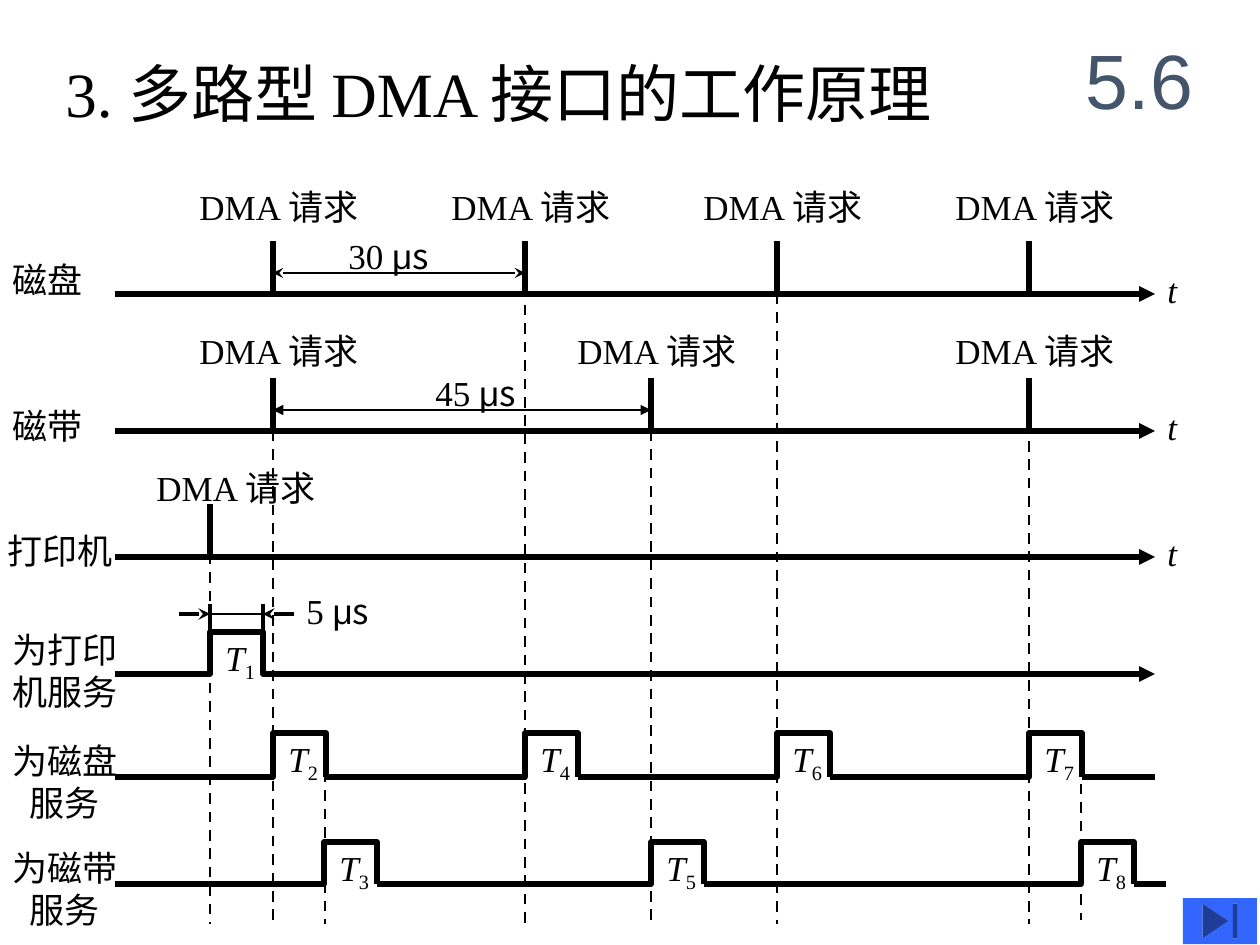
"""Build the timing diagram slide for a multiplexed DMA interface."""
import pptx
import pptx.dml.color
import pptx.enum.dml
import pptx.enum.shapes
import pptx.enum.text
import pptx.oxml.ns
import pptx.util
from lxml import etree

SCALE = 914400 / 126
THEME = {
    "ink": "000000", "accent": "44546A", "button": "3366FF",
    "latin": "Times New Roman", "sans": "Arial", "cjk": "Noto Sans CJK SC",
    "title": 36, "number": 44, "body": 20,
    "heavy": 3, "medium": 2.25, "dash": 1.5, "thin": 1, "hair": 0.75,
}
AXIS_LEFT, AXIS_RIGHT = 115, 1155
TICK_HEIGHT, PULSE_WIDTH = 53, 53
REQUEST = "DMA 请求"

DEVICES = [
    {"name": "打印机", "name_box": (-5, 523, 130, 55), "axis": 557,
     "requests": [210], "label_top": 460, "label_shift": -66},
    {"name": "磁带", "name_box": (0, 398, 95, 55), "axis": 431,
     "requests": [273, 651, 1029], "label_top": 323, "label_shift": -86,
     "period": ("45 ", 423, "triangle")},
    {"name": "磁盘", "name_box": (0, 252, 95, 55), "axis": 294,
     "requests": [273, 525, 777, 1029], "label_top": 179, "label_shift": -86,
     "period": ("30 ", 336, "stealth")},
]
SERVICES = [
    {"name": "为磁盘\n服务", "name_top": 733, "base": 777, "top": 733, "end": 1155,
     "pulses": [(273, "2"), (525, "4"), (777, "6"), (1029, "7")]},
    {"name": "为磁带\n服务", "name_top": 840, "base": 884, "top": 842, "end": 1166,
     "pulses": [(324, "3"), (651, "5"), (1081, "8")]},
]
PRINTER_SERVICE = {"name": "为打印\n机服务", "name_top": 622, "base": 674, "top": 632, "rise": 210}
GUIDES = [(273, 431, 924), (525, 305, 924), (777, 294, 924), (1029, 441, 924),
          (651, 431, 924), (210, 554, 924), (325, 735, 924), (1081, 747, 920)]


def px(value):
    return round(value * SCALE)


def color(name):
    return pptx.dml.color.RGBColor.from_string(THEME[name])


def write(slide, text, box, size="body", ink="ink", font="latin", align="LEFT",
          anchor="TOP", wrap=False):
    """Write a string, or a list of (text, format) runs, in a box."""
    frame = slide.shapes.add_textbox(*map(px, box)).text_frame
    frame.word_wrap = wrap
    frame.vertical_anchor = pptx.enum.text.MSO_ANCHOR[anchor]
    lines = [[(line, {})] for line in text.split("\n")] if isinstance(text, str) else [text]
    for index, line in enumerate(lines):
        paragraph = frame.add_paragraph() if index else frame.paragraphs[0]
        paragraph.alignment = pptx.enum.text.PP_ALIGN[align]
        for content, style in line:
            run = paragraph.add_run()
            run.text = content
            run.font.size = pptx.util.Pt(THEME[size])
            run.font.color.rgb = color(ink)
            run.font.name = THEME[style.get("font", font)]
            run.font.italic = style.get("italic", False)
            properties = run._r.get_or_add_rPr()
            etree.SubElement(properties, pptx.oxml.ns.qn("a:ea"), typeface=THEME["cjk"])
            if style.get("subscript"):
                properties.set("baseline", "-25000")


def style_line(shape, width, head=None, tail=None):
    shape.line.color.rgb = color("ink")
    shape.line.width = pptx.util.Pt(THEME[width])
    for tag, kind in (("a:headEnd", head), ("a:tailEnd", tail)):
        if kind:
            etree.SubElement(shape.line._get_or_add_ln(), pptx.oxml.ns.qn(tag), type=kind)


def draw_line(slide, start, end, width="heavy", dashed=False, head=None, tail=None):
    connector = slide.shapes.add_connector(
        pptx.enum.shapes.MSO_CONNECTOR.STRAIGHT, *map(px, start + end))
    if dashed:
        connector.line.dash_style = pptx.enum.dml.MSO_LINE.DASH
    style_line(connector, width, head, tail)
    etree.SubElement(connector._element.spPr, pptx.oxml.ns.qn("a:effectLst"))


def draw_wave(slide, points, tail=None):
    builder = slide.shapes.build_freeform(*points[0], scale=SCALE)
    builder.add_line_segments(points[1:], close=False)
    wave = builder.convert_to_shape()
    wave.shadow.inherit = False
    wave.fill.background()
    style_line(wave, "heavy", tail=tail)


def pulse_points(left, rise, base, top):
    fall = rise + PULSE_WIDTH
    return [(left, base), (rise, base), (rise, top), (fall, top), (fall, base)]


def write_pulse(slide, number, rise, top):
    write(slide, [("T", {"italic": True}), (number, {"subscript": True})],
          (rise + 3, top - 2, 66, 60))


def write_duration(slide, amount, box):
    write(slide, [(amount, {}), ("μ", {"font": "sans"}), ("s", {"font": "cjk"})], box)


def write_service(slide, service):
    write(slide, service["name"], (0, service["name_top"], 130, 97), align="CENTER")


def draw_device(slide, device):
    axis = device["axis"]
    draw_line(slide, (AXIS_LEFT, axis), (AXIS_RIGHT, axis), tail="triangle")
    for request in device["requests"]:
        draw_line(slide, (request, axis - TICK_HEIGHT), (request, axis))
        write(slide, REQUEST, (request + device["label_shift"], device["label_top"], 194, 55))
    write(slide, device["name"], device["name_box"])
    write(slide, [("t", {"italic": True})], (AXIS_RIGHT, axis - 32, 34, 55))
    if "period" in device:
        amount, left, arrow = device["period"]
        first, second = device["requests"][:2]
        draw_line(slide, (first, axis - 21), (second, axis - 21), "thin", head=arrow, tail=arrow)
        write_duration(slide, amount, (left, axis - 66, 113, 55))


def draw_service(slide, service):
    left, base, top = AXIS_LEFT, service["base"], service["top"]
    for rise, number in service["pulses"]:
        draw_wave(slide, pulse_points(left, rise, base, top))
        write_pulse(slide, number, rise, top)
        left = rise + PULSE_WIDTH
    draw_line(slide, (left, base), (service["end"], base))
    write_service(slide, service)


def draw_printer_service(slide, service):
    rise, base, top = service["rise"], service["base"], service["top"]
    fall, level = rise + PULSE_WIDTH, top - 18
    draw_wave(slide, pulse_points(AXIS_LEFT, rise, base, top) + [(AXIS_RIGHT, base)], "triangle")
    write_pulse(slide, "1", rise, top)
    write_service(slide, service)
    draw_line(slide, (rise, level), (fall, level), "hair")
    for edge, outside in ((rise, rise - 31), (fall, fall + 31)):
        draw_line(slide, (edge, level - 10), (edge, top + 3), "medium")
        draw_line(slide, (outside, level), (edge, level), "medium", tail="stealth")
    write_duration(slide, "5 ", (fall + 31, level - 31, 96, 55))


def main():
    presentation = pptx.Presentation()
    presentation.slide_width, presentation.slide_height = px(1260), px(945)
    slide = presentation.slides.add_slide(presentation.slide_layouts[6])
    write(slide, "3. 多路型 DMA 接口的工作原理", (53, 48, 940, 88), size="title")
    write(slide, "5.6", (1061, 21, 157, 116), size="number", ink="accent", font="sans",
          align="CENTER", anchor="MIDDLE", wrap=True)
    for service in SERVICES:
        draw_service(slide, service)
    draw_printer_service(slide, PRINTER_SERVICE)
    for x, top, bottom in GUIDES:
        draw_line(slide, (x, top), (x, bottom), "dash", dashed=True)
    for device in DEVICES:
        draw_device(slide, device)
    button = slide.shapes.add_shape(
        pptx.enum.shapes.MSO_SHAPE.ACTION_BUTTON_END, *map(px, (1183, 898, 74, 46)))
    button.shadow.inherit = False
    button.fill.solid()
    button.fill.fore_color.rgb = color("button")
    button.line.fill.background()
    presentation.save("out.pptx")


if __name__ == "__main__":
    main()
